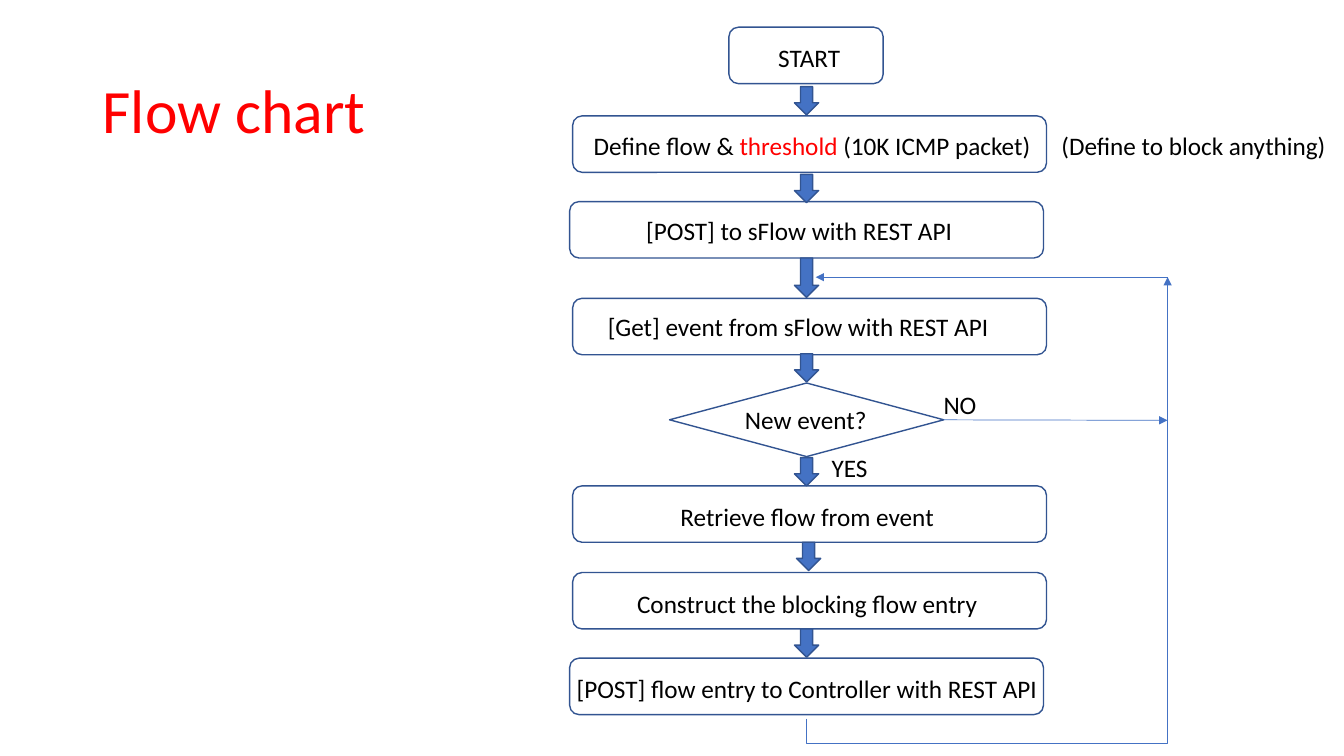
import lxml.etree
import pptx
import pptx.dml.color
import pptx.enum.shapes
import pptx.enum.text
import pptx.oxml.ns
import pptx.util
from pptx.util import Inches

SHAPES = pptx.enum.shapes.MSO_SHAPE
CONNECTORS = pptx.enum.shapes.MSO_CONNECTOR
BLACK, RED, BLUE, OUTLINE = "000000", "FF0000", "4472C4", "325491"
BOX_WIDTH, BOX_HEIGHT, LABEL_HEIGHT = 4.7, 0.56, 0.4
ARROW_LEFT, ARROW_WIDTH, ARROW_HEIGHT = 7.88, 0.24, 0.28
AXIS_X, LOOP_X, LOOP_Y = 8, 11.58, 2.75

# Process boxes: left, top, label left, label top, label width, label runs
STEPS = [
    (5.68, 1.15, 5.79, 1.24, 4.59,
     [("Define flow & ", BLACK), ("threshold", RED), (" (10K ICMP packet)", BLACK)]),
    (5.65, 2.0, 6.31, 2.09, 3.32, "[POST] to sFlow with REST API"),
    (5.68, 2.96, 5.93, 3.04, 4.14, "[Get] event from sFlow with REST API"),
    (5.68, 4.82, 6.65, 4.92, 2.75, "Retrieve flow from event"),
    (5.68, 5.68, 6.22, 5.79, 3.62, "Construct the blocking flow entry"),
    (5.65, 6.53, 5.62, 6.63, 4.81, "[POST] flow entry to Controller with REST API"),
]

# Down arrows: left, top, height
ARROWS = [
    (ARROW_LEFT, 0.86, ARROW_HEIGHT),
    (ARROW_LEFT, 1.73, ARROW_HEIGHT),
    (ARROW_LEFT, 2.56, 0.39),
    (ARROW_LEFT, 3.51, ARROW_HEIGHT),
    (ARROW_LEFT, 4.54, ARROW_HEIGHT),
    (7.9, 5.38, ARROW_HEIGHT),
    (ARROW_LEFT, 6.24, ARROW_HEIGHT),
]


def color(value):
    return pptx.dml.color.RGBColor.from_string(value)


def add_text(slide, text, left, top, width, height=LABEL_HEIGHT, *, size=18,
             fill=BLACK, wrap=False, middle=False, spacing=None):
    """Add a text box; text is a string or a list of (string, colour) runs."""
    frame = slide.shapes.add_textbox(
        Inches(left), Inches(top), Inches(width), Inches(height)).text_frame
    frame.word_wrap = wrap
    if middle:
        frame.vertical_anchor = pptx.enum.text.MSO_ANCHOR.MIDDLE
    else:
        frame.auto_size = pptx.enum.text.MSO_AUTO_SIZE.SHAPE_TO_FIT_TEXT
    paragraph = frame.paragraphs[0]
    paragraph.line_spacing = spacing
    for words, run_color in [(text, fill)] if isinstance(text, str) else text:
        run = paragraph.add_run()
        run.text = words
        run.font.name = "Calibri"
        run.font.size = pptx.util.Pt(size)
        run.font.color.rgb = color(run_color)


def add_shape(slide, kind, left, top, width, height, fill=None):
    shape = slide.shapes.add_shape(
        kind, Inches(left), Inches(top), Inches(width), Inches(height))
    shape.shadow.inherit = False
    if fill:
        shape.fill.solid()
        shape.fill.fore_color.rgb = color(fill)
    else:
        shape.fill.background()
    shape.line.color.rgb = color(OUTLINE)
    shape.line.width = pptx.util.Pt(1)
    return shape


def add_arrow_line(slide, begin, end, kind=CONNECTORS.STRAIGHT):
    connector = slide.shapes.add_connector(
        kind, *(Inches(length) for length in (*begin, *end)))
    connector.line.color.rgb = color(BLUE)
    connector.line.width = pptx.util.Pt(0.5)
    properties = connector._element.spPr
    line = properties.find(pptx.oxml.ns.qn("a:ln"))
    lxml.etree.SubElement(line, pptx.oxml.ns.qn("a:tailEnd"), type="triangle")
    lxml.etree.SubElement(properties, pptx.oxml.ns.qn("a:effectLst"))
    return connector


def add_return_loop(slide, begin, end, bend):
    """Add an elbow that leaves downwards and turns up to end; bend sets its depth."""
    center_x, center_y = (begin[0] + end[0]) / 2, (begin[1] + end[1]) / 2
    # The elbow is turned a quarter, so its width and height change places
    half_width, half_height = (begin[1] - end[1]) / 2, (end[0] - begin[0]) / 2
    connector = add_arrow_line(
        slide, (center_x + half_width, center_y + half_height),
        (center_x - half_width, center_y - half_height), CONNECTORS.ELBOW)
    properties = connector._element.spPr
    properties.find(pptx.oxml.ns.qn("a:xfrm")).set("rot", str(90 * 60000))
    adjustments = properties.find(".//" + pptx.oxml.ns.qn("a:avLst"))
    lxml.etree.SubElement(adjustments, pptx.oxml.ns.qn("a:gd"),
                          name="adj1", fmla=f"val {bend}")


def main():
    presentation = pptx.Presentation()
    presentation.slide_width = Inches(13.33)
    presentation.slide_height = Inches(7.5)
    slide = presentation.slides.add_slide(presentation.slide_layouts[6])

    # Title
    add_text(slide, "Flow chart", 0.92, 0.4, 11.5, 1.45, size=44, fill=RED,
             wrap=True, middle=True, spacing=0.9)

    # Start and process boxes
    add_shape(slide, SHAPES.ROUNDED_RECTANGLE, 7.23, 0.27, 1.53, BOX_HEIGHT)
    add_text(slide, "START", 7.62, 0.37, 0.82)
    for left, top, label_left, label_top, label_width, label in STEPS:
        add_shape(slide, SHAPES.ROUNDED_RECTANGLE, left, top, BOX_WIDTH, BOX_HEIGHT)
        add_text(slide, label, label_left, label_top, label_width)

    # Decision
    decision = add_shape(slide, SHAPES.DIAMOND, 6.64, 3.8, 2.72, 0.73)
    add_text(slide, "New event?", 7.29, 3.96, 1.42)

    # Arrows between the steps
    for left, top, height in ARROWS:
        add_shape(slide, SHAPES.DOWN_ARROW, left, top, ARROW_WIDTH, height, BLUE)

    # Return path to the polling step
    add_return_loop(slide, (AXIS_X, 7.13), (LOOP_X, LOOP_Y), -5700)
    no_branch = add_arrow_line(slide, (9.36, 4.17), (LOOP_X, 4.17))
    no_branch.begin_connect(decision, 3)
    add_arrow_line(slide, (LOOP_X, LOOP_Y), (8.09, LOOP_Y))

    # Branch labels and side note
    add_text(slide, "YES", 8.15, 4.44, 0.56)
    add_text(slide, "NO", 9.26, 3.81, 0.53)
    add_text(slide, "(Define to block anything)", 10.43, 1.24, 2.86)

    presentation.save("out.pptx")


if __name__ == "__main__":
    main()
